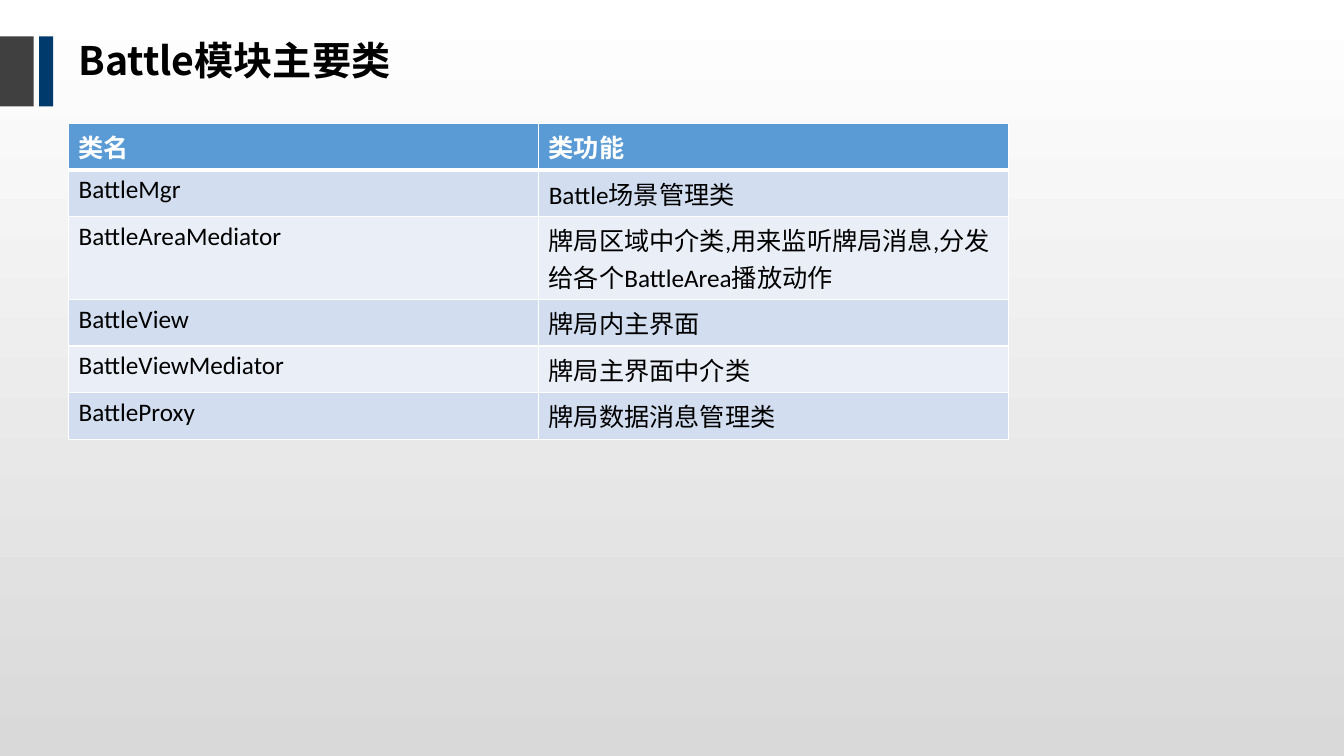
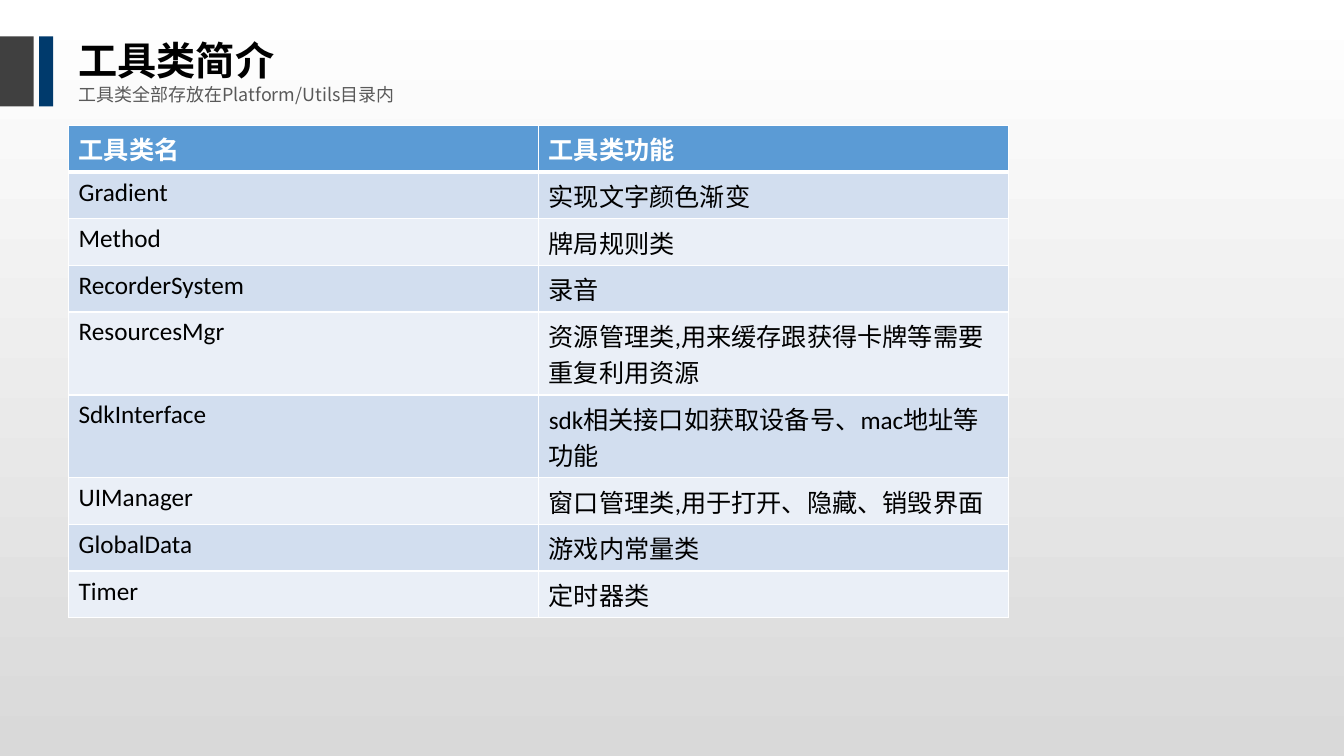
from lxml.etree import SubElement
from pptx import Presentation
from pptx.dml.color import RGBColor
from pptx.enum.shapes import MSO_SHAPE
from pptx.enum.text import MSO_ANCHOR
from pptx.oxml.ns import qn
from pptx.util import Pt

# Shared look
WHITE = RGBColor(0xFF, 0xFF, 0xFF)
BLACK = RGBColor(0x00, 0x00, 0x00)
SILVER = RGBColor(0xD9, 0xD9, 0xD9)
CHARCOAL = RGBColor(0x40, 0x40, 0x40)
NAVY = RGBColor(0x00, 0x3A, 0x6C)
GREY = RGBColor(0x59, 0x59, 0x59)
HEADER_BLUE = RGBColor(0x5B, 0x9B, 0xD5)
BAND_DARK = RGBColor(0xD2, 0xDE, 0xEF)
BAND_LIGHT = RGBColor(0xEA, 0xEF, 0xF7)

LATIN, CHINESE = "Calibri", "Noto Sans CJK SC"
PAGE_WIDTH, PAGE_HEIGHT = 960, 540
LEFT = 49
HEADING_WIDTH = 620.5
COLUMN_WIDTH = 335.8
ROW_HEIGHT, EXTRA_LINE = 33.3, 26
LINE_CAPACITY = 20

TITLE = {"name": CHINESE, "size": Pt(28), "bold": True, "color": BLACK}
SUBTITLE = {"name": CHINESE, "size": Pt(12.8), "bold": False, "color": GREY}
TABLE_HEAD = {"name": LATIN, "size": Pt(18), "bold": True, "color": WHITE}
TABLE_BODY = {**TABLE_HEAD, "bold": False, "color": BLACK}

# Slide content
BATTLE_ROWS = [
    ("类名", "类功能"),
    ("BattleMgr", "Battle场景管理类"),
    ("BattleAreaMediator", "牌局区域中介类,用来监听牌局消息,分发给各个BattleArea播放动作"),
    ("BattleView", "牌局内主界面"),
    ("BattleViewMediator", "牌局主界面中介类"),
    ("BattleProxy", "牌局数据消息管理类"),
]
TOOL_ROWS = [
    ("工具类名", "工具类功能"),
    ("Gradient", "实现文字颜色渐变"),
    ("Method", "牌局规则类"),
    ("RecorderSystem", "录音"),
    ("ResourcesMgr", "资源管理类,用来缓存跟获得卡牌等需要重复利用资源"),
    ("SdkInterface", "sdk相关接口如获取设备号、mac地址等功能"),
    ("UIManager", "窗口管理类,用于打开、隐藏、销毁界面"),
    ("GlobalData", "游戏内常量类"),
    ("Timer", "定时器类"),
]


def write(para, text, style):
    span = para.add_run()
    span.text = text
    for name, value in style.items():
        if name == "color":
            span.font.color.rgb = value
        else:
            setattr(span.font, name, value)
    SubElement(span.font._element, qn("a:ea"), typeface=CHINESE)


def add_block(page, box, color=None):
    block = page.shapes.add_shape(MSO_SHAPE.RECTANGLE, *map(Pt, box))
    block.shadow.inherit = False
    block.line.fill.background()
    if color is not None:
        block.fill.solid()
        block.fill.fore_color.rgb = color
    return block


def add_backdrop(page):
    # White to silver, from top to bottom
    fill = add_block(page, (0, 0, PAGE_WIDTH, PAGE_HEIGHT)).fill
    fill.gradient()
    fill.gradient_angle = 270
    for stop, color, position in zip(fill.gradient_stops, (WHITE, SILVER), (0, 1)):
        stop.color.rgb = color
        stop.position = position
    # Bars beside the title
    add_block(page, (0, 26, 24, 50), CHARCOAL)
    add_block(page, (28, 26, 10, 50), NAVY)


def add_heading(page, box, text, style):
    heading = page.shapes.add_textbox(*map(Pt, box))
    frame = heading.text_frame
    layout = {"word_wrap": True, "vertical_anchor": MSO_ANCHOR.TOP,
              "margin_top": Pt(3.6), "margin_bottom": 0}
    for name, value in layout.items():
        setattr(frame, name, value)
    para = frame.paragraphs[0]
    para.line_spacing = 0.9
    write(para, text, style)


def add_borders(cell, widths):
    properties = cell._tc.get_or_add_tcPr()
    for index, (side, width) in enumerate(widths.items()):
        line = SubElement(properties, qn(f"a:ln{side}"), w=str(Pt(width)))
        fill = SubElement(line, qn("a:solidFill"))
        SubElement(fill, qn("a:srgbClr"), val=str(WHITE))
        properties.insert(index, line)


def row_height(row):
    # Long texts wrap onto a second line
    return ROW_HEIGHT + (EXTRA_LINE if len(row[-1]) > LINE_CAPACITY else 0)


def add_class_table(page, left, top, rows):
    columns = len(rows[0])
    heights = [row_height(row) for row in rows]
    frame = page.shapes.add_table(
        len(rows), columns, Pt(left), Pt(top),
        Pt(columns * COLUMN_WIDTH), Pt(sum(heights)))
    table = frame.table
    for row_index, row in enumerate(rows):
        table.rows[row_index].height = Pt(heights[row_index])
        is_head = row_index == 0
        band = HEADER_BLUE if is_head else (BAND_LIGHT, BAND_DARK)[row_index % 2]
        widths = {"L": 1, "R": 1, "T": 3 if row_index == 1 else 1,
                  "B": 3 if is_head else 1}
        for column_index, text in enumerate(row):
            cell = table.cell(row_index, column_index)
            cell.fill.solid()
            cell.fill.fore_color.rgb = band
            add_borders(cell, widths)
            write(cell.text_frame.paragraphs[0], text,
                  TABLE_HEAD if is_head else TABLE_BODY)


def add_class_page(deck, title, rows, table_top, subtitle=None):
    page = deck.slides.add_slide(deck.slide_layouts[6])
    add_backdrop(page)
    add_heading(page, (LEFT, 26, HEADING_WIDTH, 34), title, TITLE)
    if subtitle:
        add_heading(page, (LEFT, 58, HEADING_WIDTH, 24), subtitle, SUBTITLE)
    add_class_table(page, LEFT, table_top, rows)


def main():
    deck = Presentation()
    deck.slide_width, deck.slide_height = Pt(PAGE_WIDTH), Pt(PAGE_HEIGHT)
    add_class_page(deck, "Battle模块主要类", BATTLE_ROWS, 88)
    add_class_page(deck, "工具类简介", TOOL_ROWS, 89.7,
                   "工具类全部存放在Platform/Utils目录内")
    deck.save("out.pptx")


if __name__ == "__main__":
    main()
